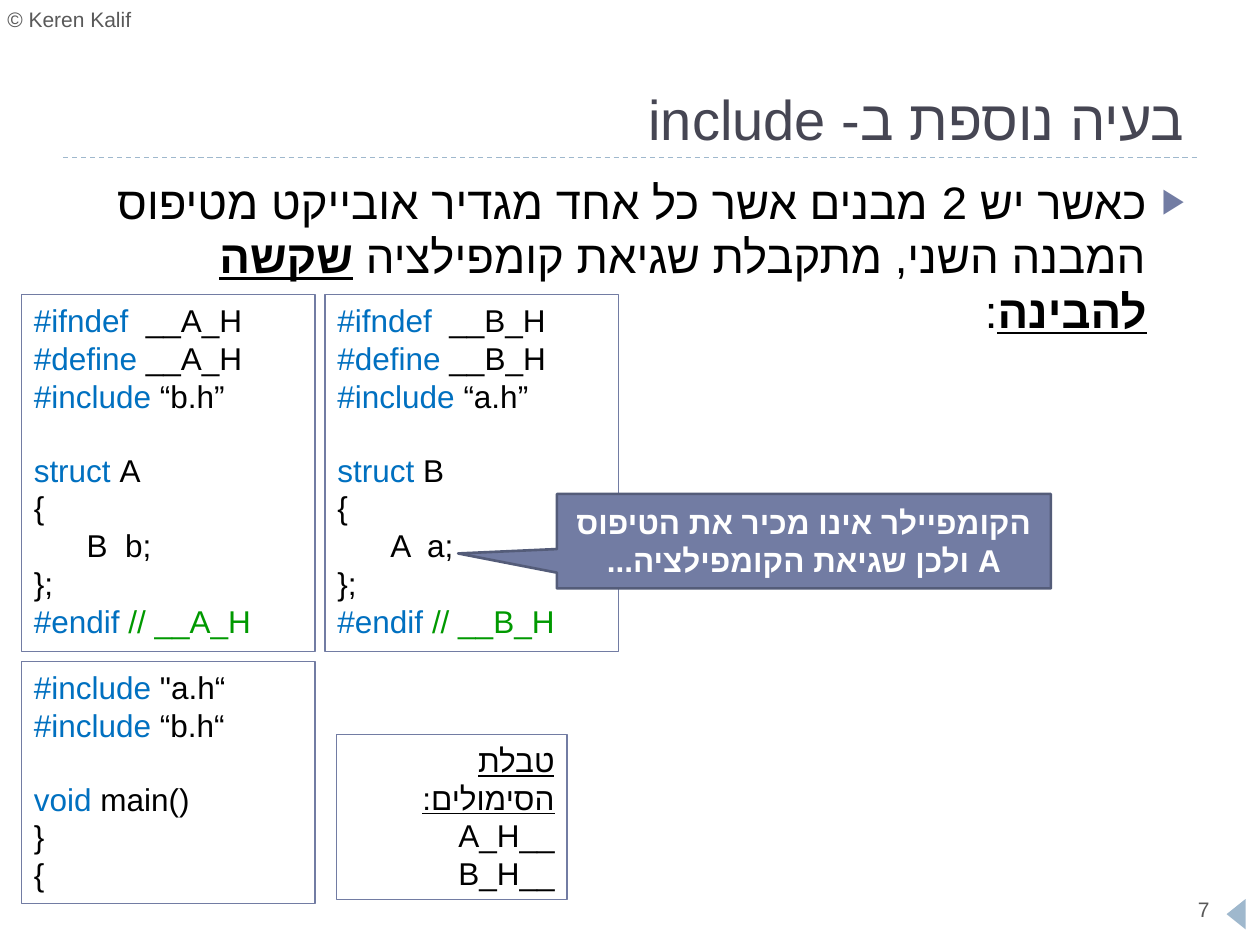
"""Build the slide about two headers that include each other."""
from lxml import etree
from pptx import Presentation
from pptx import util as u
from pptx.dml.color import RGBColor
from pptx.enum import dml, shapes, text
from pptx.oxml import ns

BLACK, BLUE, GREEN, GREY, SLATE = "000000", "0070C0", "009900", "595959", "727CA3"
LEFT, RIGHT, CENTER = text.PP_ALIGN.LEFT, text.PP_ALIGN.RIGHT, text.PP_ALIGN.CENTER


def color(value):
    """Turn a hex string into a colour."""
    return RGBColor.from_string(value)


def write(shape, lines, size=18, align=LEFT, anchor=text.MSO_ANCHOR.TOP):
    """Write lines of (words, colour, styles) runs; right and centred lines are Hebrew."""
    frame = shape.text_frame
    frame.word_wrap = True
    frame.vertical_anchor = anchor
    for number, line in enumerate(lines):
        paragraph = frame.add_paragraph() if number else frame.paragraphs[0]
        paragraph.alignment = align
        if align != LEFT:
            paragraph._p.get_or_add_pPr().set("rtl", "1")
        for words, ink, *styles in line:
            run = paragraph.add_run()
            run.text = words
            run.font.name = "Arial"
            run.font.size = u.Pt(size)
            run.font.color.rgb = color(ink)
            run.font.bold = "bold" in styles
            run.font.underline = "underline" in styles
            etree.SubElement(run._r.get_or_add_rPr(), ns.qn("a:cs"), typeface="Arial")
    return frame.paragraphs


deck = Presentation()
deck.slide_width, deck.slide_height = u.Inches(10), u.Inches(7.5)
slide = deck.slides.add_slide(deck.slide_layouts[6])
items = slide.shapes

rule = items.add_connector(shapes.MSO_CONNECTOR.STRAIGHT,
                           u.Inches(0.5), u.Inches(1.25), u.Inches(9.5), u.Inches(1.25))
rule.line.color.rgb = color("9FB8CD")
rule.line.width = u.Pt(0.75)
rule.line.dash_style = dml.MSO_LINE.DASH
etree.SubElement(rule._element.spPr, ns.qn("a:effectLst"))

page_arrow = items.add_shape(shapes.MSO_SHAPE.ISOSCELES_TRIANGLE,
                             u.Inches(9.69), u.Inches(7.18), u.Inches(0.24), u.Inches(0.15))
page_arrow.rotation = 270
page_arrow.shadow.inherit = False
page_arrow.fill.solid()
page_arrow.fill.fore_color.rgb = color("9FB8CD")
page_arrow.line.fill.background()

credit = items.add_textbox(u.Inches(-0.04), u.Inches(0), u.Inches(1.5), u.Inches(0.3))
write(credit, [[("© Keren Kalif", GREY)]], 12)
page_number = items.add_textbox(u.Inches(9.41), u.Inches(7.07), u.Inches(0.47), u.Inches(0.3))
write(page_number, [[("7", GREY)]], 12)

title = items.add_textbox(u.Inches(0.35), u.Inches(0.17), u.Inches(9.15), u.Inches(1.08))
write(title, [[("בעיה נוספת ב- include", "464653")]], 32, RIGHT, text.MSO_ANCHOR.BOTTOM)

problem = items.add_textbox(u.Inches(0.5), u.Inches(1.33), u.Inches(9), u.Inches(5.4))
statement = write(problem, [[
    ("כאשר יש 2 מבנים אשר כל אחד מגדיר אובייקט מטיפוס המבנה השני, מתקבלת שגיאת קומפילציה ", BLACK),
    ("שקשה להבינה", BLACK, "bold", "underline"),
    (":", BLACK),
]], 26, RIGHT)[0]
statement.space_before = u.Pt(6)
bullet = statement._p.get_or_add_pPr()
bullet.set("marL", str(u.Inches(0.3)))
bullet.set("indent", str(u.Inches(-0.3)))
bullet_color = etree.SubElement(bullet, ns.qn("a:buClr"))
etree.SubElement(bullet_color, ns.qn("a:srgbClr"), val=SLATE)
etree.SubElement(bullet, ns.qn("a:buSzPct"), val="76000")
etree.SubElement(bullet, ns.qn("a:buFont"), typeface="Arial")
etree.SubElement(bullet, ns.qn("a:buChar"), char="▶")

symbols = [
    [("טבלת הסימולים:", BLACK, "underline")],
    [("__A_H", BLACK)],
    [("__B_H", BLACK)],
]
main_file = [
    [("#include ", BLUE), ("\"a.h“", BLACK)],
    [("#include ", BLUE), ("“b.h“", BLACK)],
    [("void", BLUE), (" main()", BLACK)],
    [("}", BLACK)],
    [("{", BLACK)],
]
headers = [[
    [("#ifndef", BLUE), (f"  __{own}_H", BLACK)],
    [("#define", BLUE), (f" __{own}_H", BLACK)],
    [("#include ", BLUE), (f"“{other.lower()}.h”", BLACK)],
    [("struct ", BLUE), (own, BLACK)],
    [("{", BLACK)],
    [(f"{other}  {other.lower()};", BLACK)],
    [("};", BLACK)],
    [("#endif ", BLUE), (f"// __{own}_H", GREEN)],
] for own, other in ("AB", "BA")]

panels = [
    (2.67, 5.83, 1.83, 1.31, symbols, RIGHT),
    (0.17, 2.34, 2.33, 2.83, headers[0], LEFT),
    (0.17, 5.25, 2.33, 1.92, main_file, LEFT),
    (2.58, 2.34, 2.33, 2.83, headers[1], LEFT),
]
for left, top, width, height, lines, align in panels:
    panel = items.add_textbox(u.Inches(left), u.Inches(top), u.Inches(width), u.Inches(height))
    panel.line.color.rgb = color(SLATE)
    panel.line.width = u.Pt(0.75)
    for paragraph in write(panel, lines, align=align):
        if paragraph.text.startswith(("struct", "void")):
            paragraph.space_before = u.Pt(20.7)
        if paragraph.text in ("B  b;", "A  a;"):
            paragraph._p.get_or_add_pPr().set("marL", str(u.Inches(0.42)))

compiler_note = items.add_shape(shapes.MSO_SHAPE.RECTANGULAR_CALLOUT,
                                u.Inches(4.42), u.Inches(3.92), u.Inches(3.92), u.Inches(0.75))
compiler_note.adjustments[0], compiler_note.adjustments[1] = -0.7, 0.13
compiler_note.shadow.inherit = False
compiler_note.fill.solid()
compiler_note.fill.fore_color.rgb = color(SLATE)
compiler_note.line.color.rgb = color("545C79")
compiler_note.line.width = u.Pt(1.5)
write(compiler_note, [[("הקומפיילר אינו מכיר את הטיפוס A ולכן שגיאת הקומפילציה...", "FFFFFF", "bold")]],
      align=CENTER, anchor=text.MSO_ANCHOR.MIDDLE)

deck.save("out.pptx")
